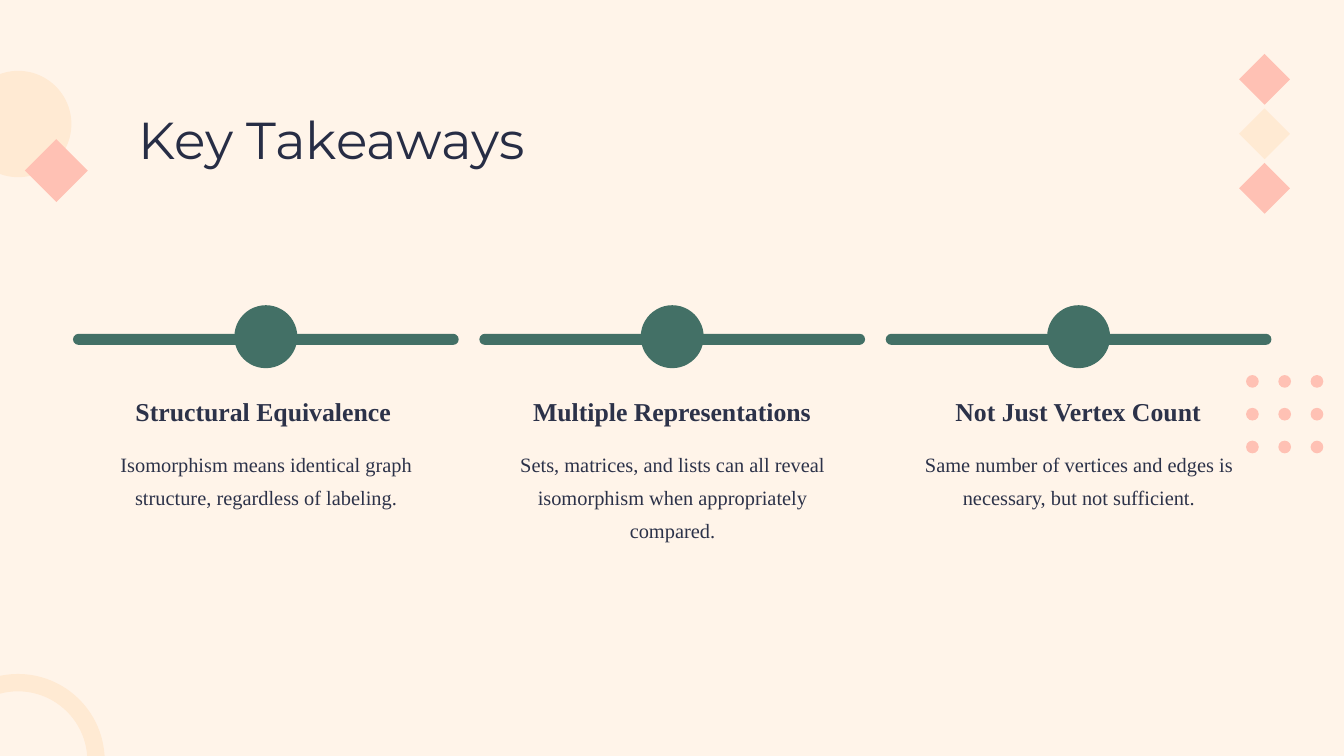
import pptx
import pptx.dml.color
import pptx.enum.shapes
import pptx.enum.text
import pptx.util

Cm = pptx.util.Cm
Pt = pptx.util.Pt
RGBColor = pptx.dml.color.RGBColor
Shape = pptx.enum.shapes.MSO_SHAPE
Align = pptx.enum.text.PP_ALIGN

CREAM = RGBColor(0xFF, 0xF4, 0xE9)
PEACH = RGBColor(0xFF, 0xEA, 0xD3)
PINK = RGBColor(0xFF, 0xC1, 0xB4)
GREEN = RGBColor(0x43, 0x70, 0x66)
NAVY = RGBColor(0x27, 0x2D, 0x45)
SLATE = RGBColor(0x2C, 0x32, 0x49)

# Heading, heading left, heading width, body text
TAKEAWAYS = [
    ("Structural Equivalence", 2.51, 4.93,
     "Isomorphism means identical graph structure, regardless of labeling."),
    ("Multiple Representations", 10.01, 5.38,
     "Sets, matrices, and lists can all reveal isomorphism when appropriately compared."),
    ("Not Just Vertex Count", 17.91, 4.93,
     "Same number of vertices and edges is necessary, but not sufficient."),
]
COLUMN_STEP = 7.68


class SlideBuilder:
    title_font = "Montserrat"
    text_font = "Times New Roman"

    def __init__(self, page):
        self.page = page
        page.background.fill.solid()
        page.background.fill.fore_color.rgb = CREAM

    def shape(self, kind, left, top, width, height, color):
        shape = self.page.shapes.add_shape(kind, Cm(left), Cm(top), Cm(width), Cm(height))
        shape.shadow.inherit = False
        shape.fill.solid()
        shape.fill.fore_color.rgb = color
        shape.line.fill.background()
        return shape

    def fill_text(self, box, text, font, size, spacing, color, align, bold=False, wrap=False):
        frame = box.text_frame
        frame.margin_left = frame.margin_right = 0
        frame.margin_top = frame.margin_bottom = 0
        frame.vertical_anchor = pptx.enum.text.MSO_ANCHOR.TOP
        frame.auto_size = pptx.enum.text.MSO_AUTO_SIZE.NONE
        frame.word_wrap = wrap
        para = frame.paragraphs[0]
        para.text = text
        para.alignment = align
        para.line_spacing = Pt(spacing)
        para.font.name = font
        para.font.size = Pt(size)
        para.font.bold = bold
        para.font.color.rgb = color

    def title(self, text, left, top, width, height):
        box = self.page.shapes.title
        box.left, box.top, box.width, box.height = Cm(left), Cm(top), Cm(width), Cm(height)
        self.fill_text(box, text, self.title_font, 27.8, 34.7, NAVY, Align.LEFT)

    def text(self, text, left, top, width, height, size, spacing, **style):
        box = self.page.shapes.add_textbox(Cm(left), Cm(top), Cm(width), Cm(height))
        self.fill_text(box, text, self.text_font, size, spacing, SLATE, Align.CENTER, **style)


def main():
    deck = pptx.Presentation()
    deck.slide_width, deck.slide_height = Cm(25.4), Cm(14.29)
    builder = SlideBuilder(deck.slides.add_slide(deck.slide_layouts[5]))

    # Decoration on the left
    builder.shape(Shape.OVAL, -0.66, 1.34, 2.01, 2.01, PEACH)
    builder.shape(Shape.DIAMOND, 0.47, 2.63, 1.19, 1.19, PINK)
    arc = builder.shape(Shape.BLOCK_ARC, -1.3, 12.74, 3.28, 3.28, PEACH)
    arc.adjustments[2] = 0.1

    # Grid of dots and column of diamonds on the right
    for column in range(3):
        for row in range(3):
            builder.shape(Shape.OVAL, 23.55 + 0.61 * column, 7.09 + 0.62 * row,
                          0.24, 0.24, PINK)
    for row, color in enumerate((PINK, PEACH, PINK)):
        builder.shape(Shape.DIAMOND, 23.42, 1.02 + 1.03 * row, 0.96, 0.96, color)

    builder.title("Key Takeaways", 2.62, 1.98, 9.86, 1.22)

    # Takeaway columns: bar, marker, heading, body
    for index, (heading, left, width, body) in enumerate(TAKEAWAYS):
        shift = COLUMN_STEP * index
        bar = builder.shape(Shape.ROUNDED_RECTANGLE, 1.38 + shift, 6.31, 7.29, 0.21, GREEN)
        bar.adjustments[0] = 0.5
        builder.shape(Shape.OVAL, 4.43 + shift, 5.77, 1.19, 1.19, GREEN)
        builder.text(heading, left, 7.45, width, 0.61, 13.8, 17.2, bold=True)
        builder.text(body, 1.83 + shift, 8.38, 6.4, 1.88, 10.9, 17.8, wrap=True)

    deck.save("out.pptx")


if __name__ == "__main__":
    main()
